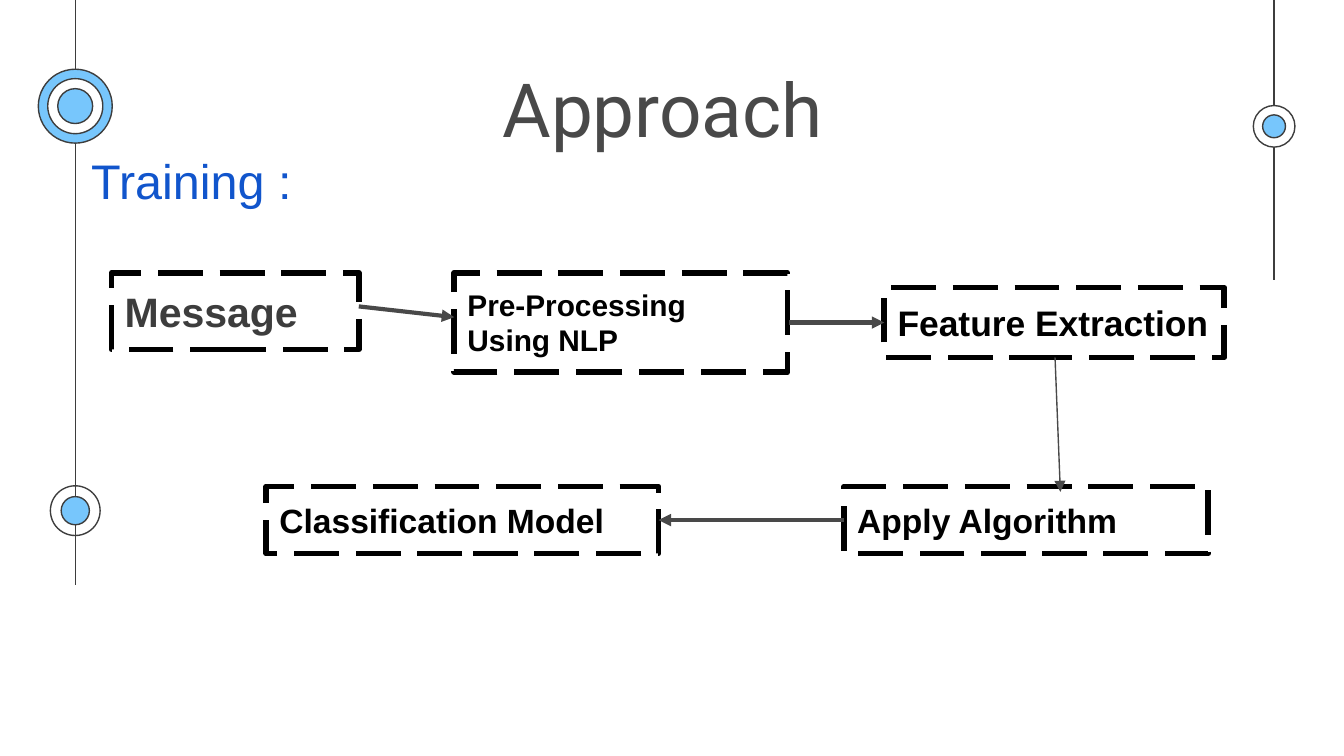
from dataclasses import dataclass
from typing import Optional

import pptx
import pptx.dml.color
import pptx.enum.dml
import pptx.enum.shapes
import pptx.enum.text
import pptx.oxml.ns
import pptx.util
from lxml import etree

Inches = pptx.util.Inches

COLORS = {
    "ink": "3D3D3D",
    "gray": "494949",
    "sky": "77C6FC",
    "white": "FFFFFF",
    "black": "000000",
    "blue": "1155CC",
}


@dataclass
class Ring:
    x: float
    y: float
    diameter: float
    fill: Optional[str]


@dataclass
class Step:
    text: str
    left: float
    top: float
    width: float
    height: float
    size: float
    color: str = "black"


@dataclass
class Line:
    x1: float
    y1: float
    x2: float
    y2: float
    width: float = 2.25


LEFT_RAIL, RIGHT_RAIL = 0.56, 9.48

RAILS = [
    Line(LEFT_RAIL, 0, LEFT_RAIL, 4.35, 0.75),
    Line(RIGHT_RAIL, 0, RIGHT_RAIL, 2.08, 0.75),
]

RINGS = [
    Ring(LEFT_RAIL, 3.8, 0.37, None),
    Ring(LEFT_RAIL, 3.8, 0.21, "sky"),
    Ring(RIGHT_RAIL, 0.94, 0.31, "white"),
    Ring(RIGHT_RAIL, 0.94, 0.17, "sky"),
    Ring(LEFT_RAIL, 0.79, 0.55, "sky"),
    Ring(LEFT_RAIL, 0.79, 0.41, "white"),
    Ring(LEFT_RAIL, 0.79, 0.26, "sky"),
]

STEPS = [
    Step("Message", 0.83, 2.03, 1.84, 0.57, 22, "ink"),
    Step("Pre-Processing\nUsing NLP", 3.38, 2.03, 2.48, 0.74, 16),
    Step("Feature Extraction", 6.58, 2.14, 2.53, 0.52, 19),
    Step("Apply Algorithm", 6.28, 3.62, 2.71, 0.5, 18),
    Step("Classification Model", 1.98, 3.62, 2.92, 0.5, 18),
]

ARROWS = [
    Line(5.87, 2.4, 6.58, 2.4),
    Line(2.67, 2.28, 3.38, 2.36),
    Line(7.85, 2.66, 7.89, 3.66, 0.75),
    Line(6.28, 3.87, 4.9, 3.87),
]


def rgb(name: str) -> pptx.dml.color.RGBColor:
    return pptx.dml.color.RGBColor.from_string(COLORS[name])


def write_text(shape, text: str, *, size: float, color: str, font: str = "Arial",
               bold: bool = False, align=pptx.enum.text.PP_ALIGN.LEFT) -> None:
    frame = shape.text_frame
    frame.word_wrap = True
    frame.vertical_anchor = pptx.enum.text.MSO_ANCHOR.TOP
    frame.margin_left = frame.margin_right = Inches(0.1)
    frame.margin_top = frame.margin_bottom = Inches(0.1)
    for index, words in enumerate(text.split("\n")):
        para = frame.add_paragraph() if index else frame.paragraphs[0]
        para.alignment = align
        para.line_spacing = 1.0
        span = para.add_run()
        span.text = words
        span.font.name = font
        span.font.size = pptx.util.Pt(size)
        span.font.bold = bold
        span.font.color.rgb = rgb(color)


def draw_line(page, line: Line, color: str, arrow: bool = False) -> None:
    connector = page.shapes.add_connector(
        pptx.enum.shapes.MSO_CONNECTOR.STRAIGHT,
        Inches(line.x1), Inches(line.y1), Inches(line.x2), Inches(line.y2))
    connector.line.color.rgb = rgb(color)
    connector.line.width = pptx.util.Pt(line.width)
    properties = connector._element.spPr
    if arrow:
        outline = properties.find(pptx.oxml.ns.qn("a:ln"))
        etree.SubElement(outline, pptx.oxml.ns.qn("a:tailEnd"), type="triangle")
    etree.SubElement(properties, pptx.oxml.ns.qn("a:effectLst"))


def draw_shape(page, kind, left: float, top: float, width: float, height: float,
               fill: Optional[str], line: str, line_width: float):
    shape = page.shapes.add_shape(
        kind, Inches(left), Inches(top), Inches(width), Inches(height))
    shape.shadow.inherit = False
    if fill:
        shape.fill.solid()
        shape.fill.fore_color.rgb = rgb(fill)
    else:
        shape.fill.background()
    shape.line.color.rgb = rgb(line)
    shape.line.width = pptx.util.Pt(line_width)
    return shape


def draw_ring(page, ring: Ring) -> None:
    radius = ring.diameter / 2
    draw_shape(page, pptx.enum.shapes.MSO_SHAPE.OVAL, ring.x - radius, ring.y - radius,
               ring.diameter, ring.diameter, ring.fill, "ink", 0.75)


def draw_step(page, step: Step) -> None:
    box = draw_shape(page, pptx.enum.shapes.MSO_SHAPE.RECTANGLE, step.left, step.top,
                     step.width, step.height, None, "black", 3)
    box.line.dash_style = pptx.enum.dml.MSO_LINE.LONG_DASH
    write_text(box, step.text, size=step.size, color=step.color, bold=True)


def main() -> None:
    deck = pptx.Presentation()
    deck.slide_width = Inches(10)
    deck.slide_height = Inches(10 * 9 / 16)
    page = deck.slides.add_slide(deck.slide_layouts[6])

    for rail in RAILS:
        draw_line(page, rail, "ink")
    for ring in RINGS:
        draw_ring(page, ring)

    title = page.shapes.add_textbox(Inches(1.88), Inches(0.37), Inches(6.1), Inches(0.65))
    write_text(title, "Approach", size=40, color="gray", font="Roboto",
               align=pptx.enum.text.PP_ALIGN.CENTER)

    for step in STEPS:
        draw_step(page, step)
    for arrow in ARROWS:
        draw_line(page, arrow, "gray", arrow=True)

    heading = page.shapes.add_textbox(Inches(0.58), Inches(1.02), Inches(3.24), Inches(0.64))
    write_text(heading, "Training :", size=26, color="blue")

    deck.save("out.pptx")


if __name__ == "__main__":
    main()
